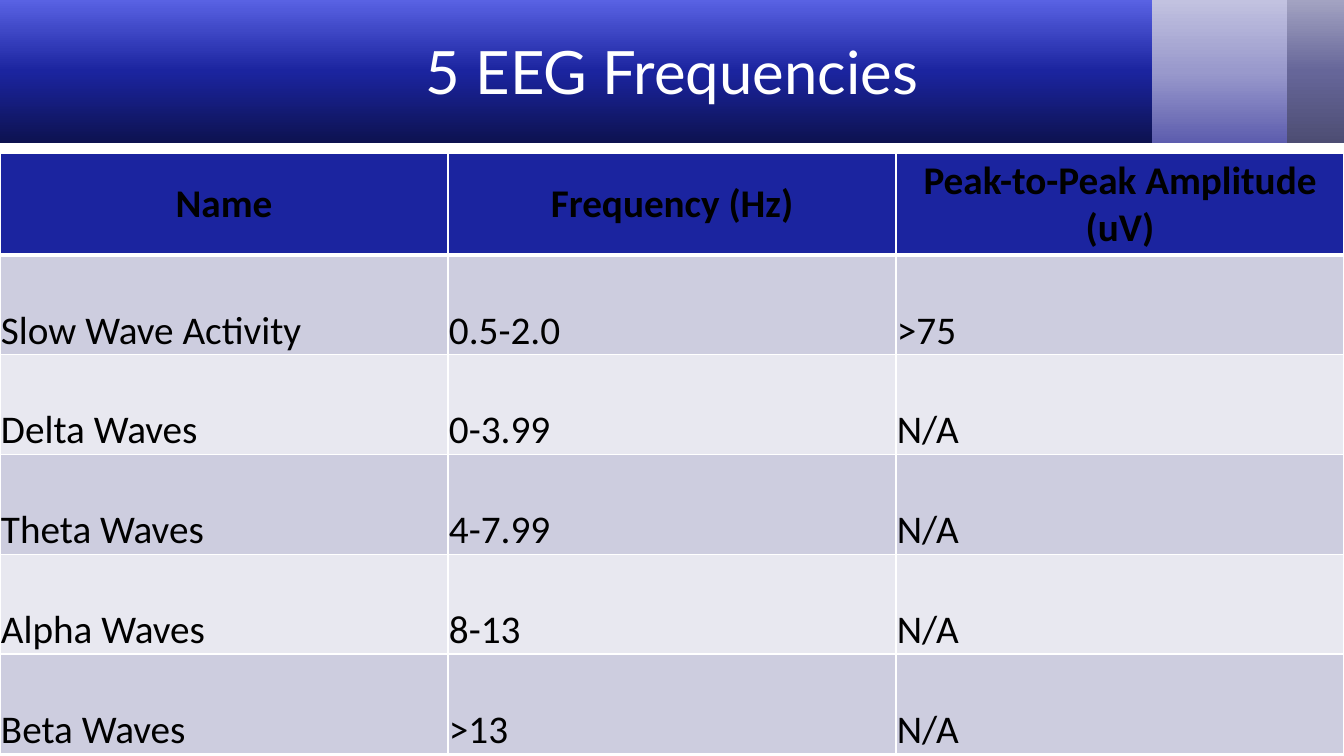
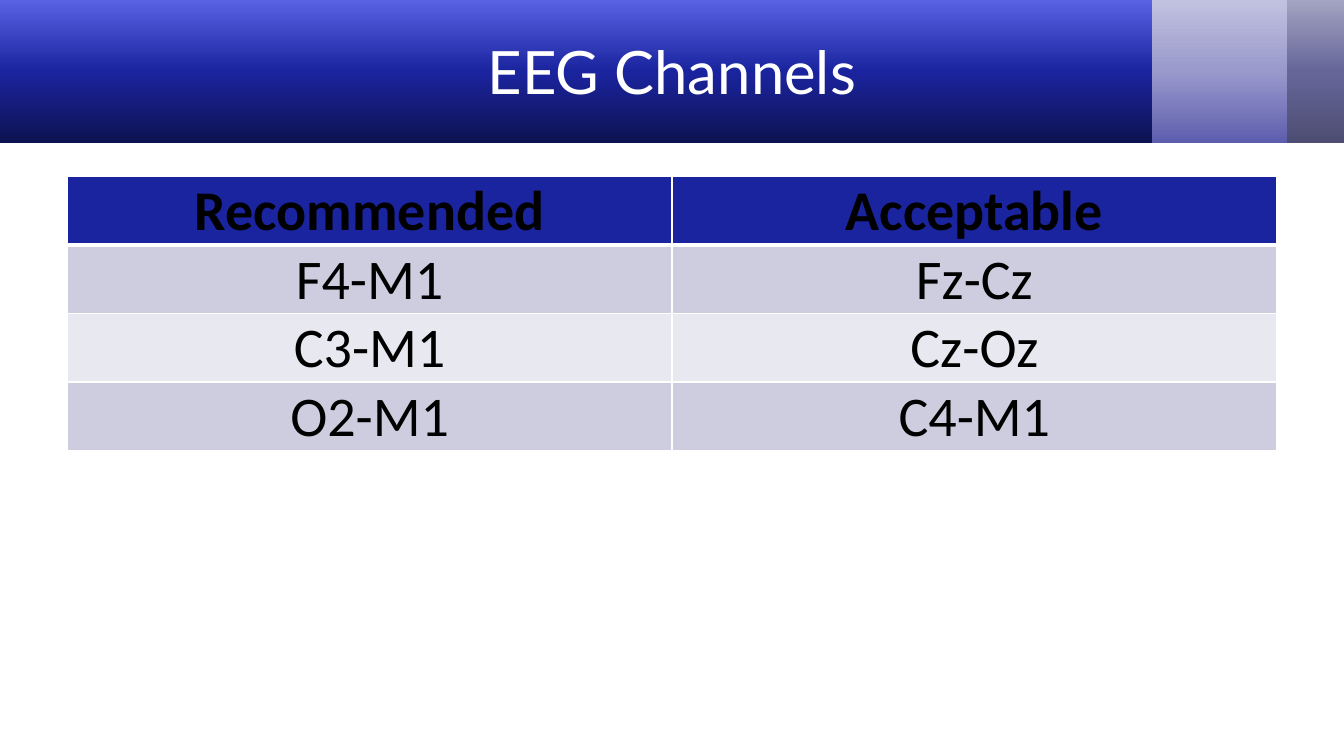
"""Build two slides of EEG reference tables under a shared gradient header."""
from lxml import etree
from pptx import Presentation
from pptx.dml.color import RGBColor
from pptx.enum.shapes import MSO_SHAPE
from pptx.enum.text import MSO_ANCHOR, PP_ALIGN
from pptx.oxml.ns import qn
from pptx.util import Inches, Pt

RECTANGLE = MSO_SHAPE.RECTANGLE
LEFT, CENTER = PP_ALIGN.LEFT, PP_ALIGN.CENTER
MIDDLE, BOTTOM = MSO_ANCHOR.MIDDLE, MSO_ANCHOR.BOTTOM

COLORS = {
    "white": "FFFFFF", "black": "000000", "header": "1B249F",
    "odd row": "CDCDDF", "even row": "E8E8F0",
    "slate": ("4D4D73", "666699", "A3A3C2"),
    "lavender": ("5D5DAE", "9999CC", "C2C2E0"),
    "navy": ("0D1250", "1B249F", "5962E3"),
}
WIDTH, HEIGHT = 13.33, 7.5
MARGIN = WIDTH * 0.05
BAND_HEIGHT = 1.42
BANDS = [("slate", 12.57, 0.78), ("lavender", 11.37, 1.4), ("navy", 0, 11.43)]
INSET = Inches(0.01)

SLIDES = [
    {
        "title": "5 EEG Frequencies",
        "left": 0, "top": 1.52, "row_heights": [1.01] + [0.99] * 5,
        "size": 28, "header_anchor": MIDDLE, "body_anchor": BOTTOM, "body_align": LEFT,
        "rows": [
            ("Name", "Frequency (Hz)", "Peak-to-Peak Amplitude (uV)"),
            ("Slow Wave Activity", "0.5-2.0", ">75"),
            ("Delta Waves", "0-3.99", "N/A"),
            ("Theta Waves", "4-7.99", "N/A"),
            ("Alpha Waves", "8-13", "N/A"),
            ("Beta Waves", ">13", "N/A"),
        ],
    },
    {
        "title": "EEG Channels",
        "left": MARGIN, "top": 1.75, "row_heights": [0.68] * 4,
        "size": 40, "header_anchor": BOTTOM, "body_anchor": MIDDLE, "body_align": CENTER,
        "rows": [
            ("Recommended", "Acceptable"),
            ("F4-M1", "Fz-Cz"),
            ("C3-M1", "Cz-Oz"),
            ("O2-M1", "C4-M1"),
        ],
    },
]


def write(frame, text, size, font, color, align=CENTER, bold=False):
    paragraph = frame.paragraphs[0]
    paragraph.alignment = align
    run = paragraph.add_run()
    run.text = text
    run.font.size = Pt(size)
    run.font.name = font
    run.font.bold = bold
    run.font.color.rgb = RGBColor.from_string(COLORS[color])


def add_border(cell, side, points):
    line = etree.SubElement(cell._tc.get_or_add_tcPr(), qn(f"a:ln{side}"), w=str(Pt(points)))
    fill = etree.SubElement(line, qn("a:solidFill"))
    etree.SubElement(fill, qn("a:srgbClr"), val=COLORS["white"])


deck = Presentation()
deck.slide_width, deck.slide_height = Inches(WIDTH), Inches(HEIGHT)

for content in SLIDES:
    slide = deck.slides.add_slide(deck.slide_layouts[6])

    for shade, left, width in BANDS:
        band = slide.shapes.add_shape(RECTANGLE, Inches(left), 0, Inches(width), Inches(BAND_HEIGHT))
        band.shadow.inherit = False
        band.line.fill.background()
        band.fill.gradient()
        band.fill.gradient_angle = 90
        stops = band._element.spPr.find(".//" + qn("a:gsLst"))
        stops.clear()
        for position, color in zip((0, 50000, 100000), COLORS[shade]):
            stop = etree.SubElement(stops, qn("a:gs"), pos=str(position))
            etree.SubElement(stop, qn("a:srgbClr"), val=color)

    title = slide.shapes.add_textbox(
        Inches(MARGIN), Inches(0.08), Inches(WIDTH - 2 * MARGIN), Inches(1.25)).text_frame
    title.word_wrap = True
    title.vertical_anchor = MIDDLE
    write(title, content["title"], size=42.7, font="Lato", color="white")

    rows, heights = content["rows"], content["row_heights"]
    table_width = WIDTH - 2 * content["left"]
    table = slide.shapes.add_table(
        len(rows), len(rows[0]), Inches(content["left"]), Inches(content["top"]),
        Inches(table_width), Inches(sum(heights))).table
    for column in table.columns:
        column.width = Inches(table_width / len(rows[0]))

    for index, (values, height) in enumerate(zip(rows, heights)):
        table.rows[index].height = Inches(height)
        is_header = index == 0
        background = "header" if is_header else "odd row" if index % 2 else "even row"
        for cell, value in zip(table.rows[index].cells, values):
            cell.margin_left = cell.margin_top = cell.margin_right = INSET
            cell.margin_bottom = 0
            cell.vertical_anchor = content["header_anchor" if is_header else "body_anchor"]
            for side, points in (("L", 1), ("R", 1), ("T", 3 if index == 1 else 1),
                                 ("B", 3 if is_header else 1)):
                add_border(cell, side, points)
            cell.fill.solid()
            cell.fill.fore_color.rgb = RGBColor.from_string(COLORS[background])
            write(cell.text_frame, value, size=content["size"], font="Calibri", color="black",
                  align=CENTER if is_header else content["body_align"], bold=is_header)

deck.save("out.pptx")
